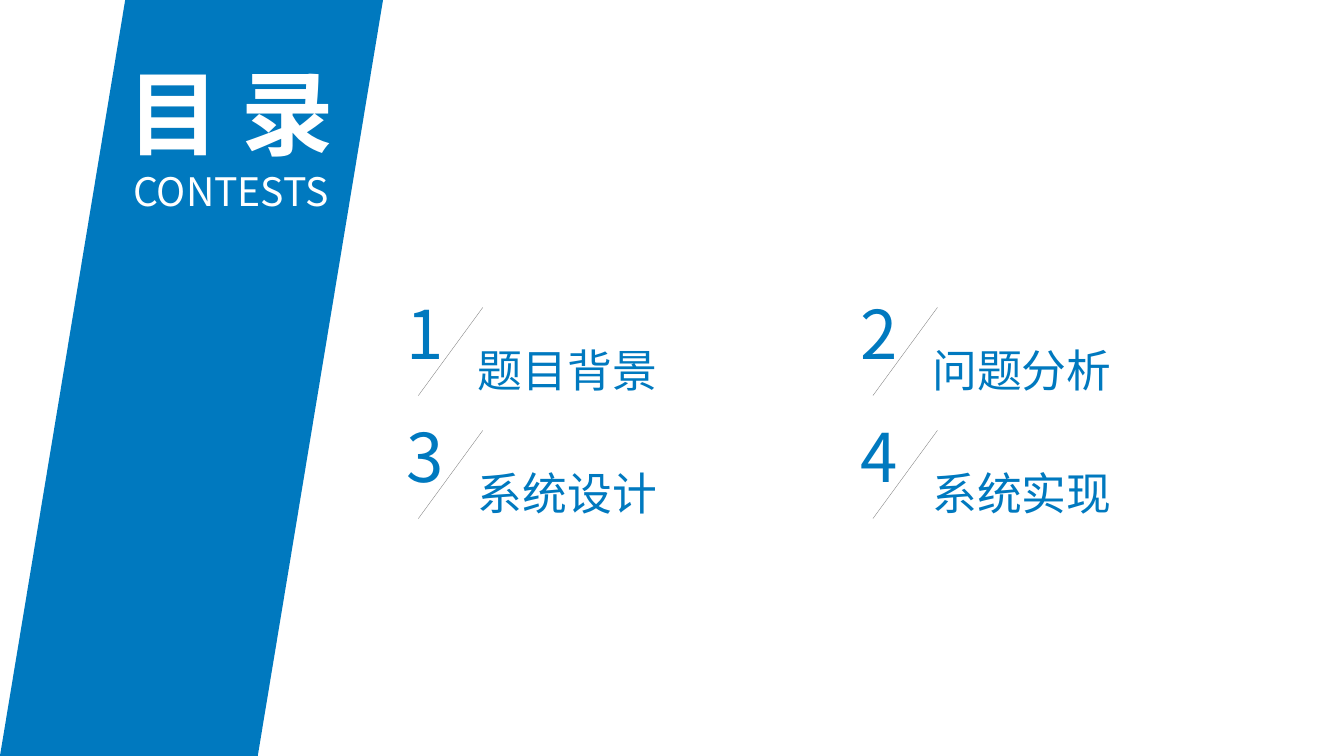
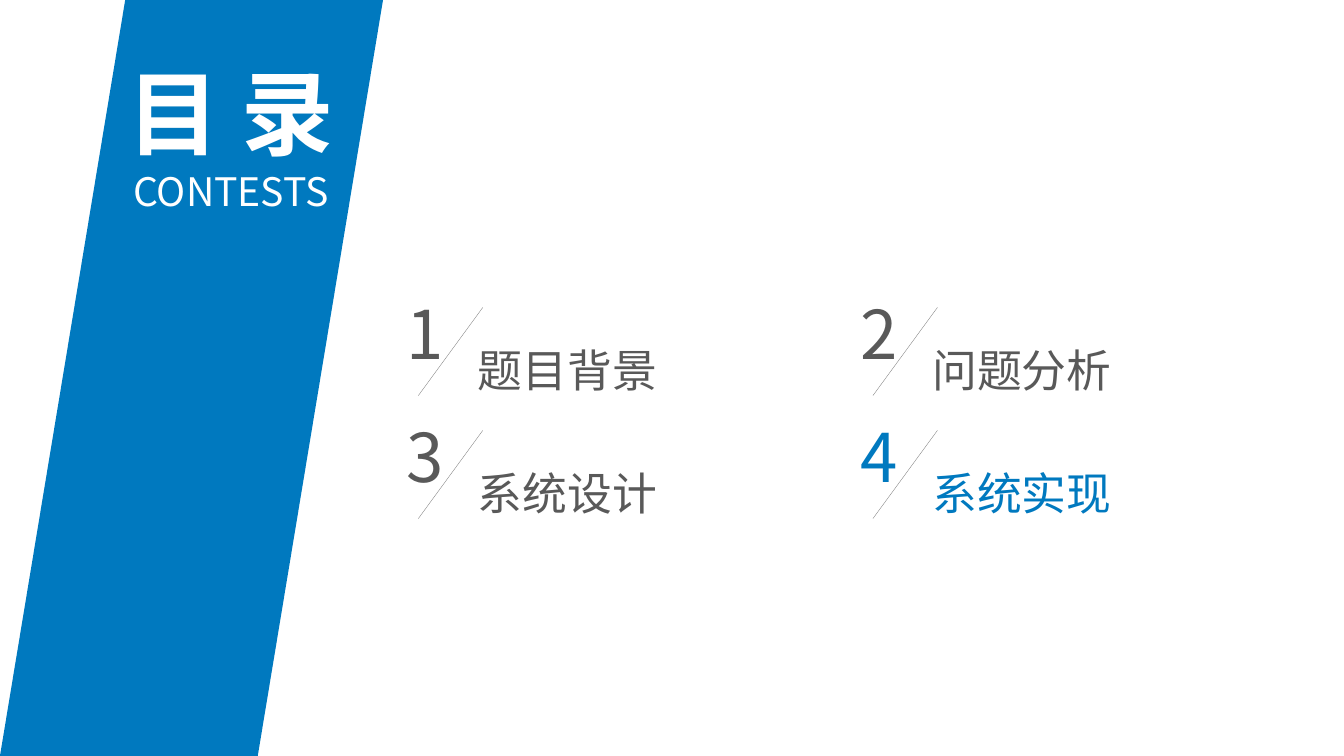
from lxml import etree
from pptx import Presentation
from pptx.dml.color import RGBColor
from pptx.enum.shapes import MSO_CONNECTOR, MSO_SHAPE
from pptx.enum.text import MSO_ANCHOR, MSO_AUTO_SIZE, PP_ALIGN
from pptx.oxml.ns import qn
from pptx.util import Inches, Pt

STRAIGHT = MSO_CONNECTOR.STRAIGHT
PARALLELOGRAM = MSO_SHAPE.PARALLELOGRAM
CENTER, LEFT = PP_ALIGN.CENTER, PP_ALIGN.LEFT
MIDDLE, TOP = MSO_ANCHOR.MIDDLE, MSO_ANCHOR.TOP
FIT_SHAPE, NO_FIT = MSO_AUTO_SIZE.SHAPE_TO_FIT_TEXT, MSO_AUTO_SIZE.NONE

FONT = "Noto Sans CJK SC"
BLUE, GRAY, WHITE, LINE_GRAY = "0079BF", "595959", "FFFFFF", "808080"

TOPICS = ["题目背景", "问题分析", "系统设计", "系统实现"]
TOPICS_PER_ROW = 2
FIRST_COLUMN, FIRST_ROW = 47.16, 34.2
COLUMN_STEP, ROW_STEP = 54.12, 14.64


def color(hex_string):
    return RGBColor.from_string(hex_string)


class AgendaDeck:
    """Agenda slides laid out on a grid of 160 columns by 90 rows."""

    COLUMNS, ROWS = 160, 90

    def __init__(self):
        self.presentation = Presentation()
        self.presentation.slide_width = Inches(13.33)
        self.presentation.slide_height = Inches(7.5)
        self.shapes = None

    def grid(self, *lengths):
        """Turn alternating column and row counts into slide lengths."""
        units = (self.presentation.slide_width / self.COLUMNS,
                 self.presentation.slide_height / self.ROWS)
        return [round(length * units[index % 2])
                for index, length in enumerate(lengths)]

    def new_slide(self):
        blank = self.presentation.slide_layouts[6]
        slide = self.presentation.slides.add_slide(blank)
        slide.background.fill.solid()
        slide.background.fill.fore_color.rgb = color(WHITE)
        self.shapes = slide.shapes

    def text(self, container, box, lines, ink, align=LEFT, **frame_format):
        """Add one paragraph for each (text, size, bold) line."""
        shape = container.add_textbox(*self.grid(*box))
        frame = shape.text_frame
        settings = {"word_wrap": True, "auto_size": FIT_SHAPE,
                    "vertical_anchor": TOP, **frame_format}
        for name, value in settings.items():
            setattr(frame, name, value)
        for index, (words, size, bold) in enumerate(lines):
            paragraph = frame.add_paragraph() if index else frame.paragraphs[0]
            paragraph.alignment = align
            run = paragraph.add_run()
            run.text = words
            font_format = {"name": FONT, "size": Pt(size), "bold": bold}
            for name, value in font_format.items():
                setattr(run.font, name, value)
            run.font.color.rgb = color(ink)
            east_asian = etree.Element(qn("a:ea"), typeface=FONT)
            run.font._element.find(qn("a:latin")).addnext(east_asian)

    def slash(self, container, ends):
        connector = container.add_connector(STRAIGHT, *self.grid(*ends))
        connector.line.color.rgb = color(LINE_GRAY)
        connector.line.width = Pt(0.25)
        etree.SubElement(connector._element.spPr, qn("a:effectLst"))

    def title_panel(self):
        panel = self.shapes.add_shape(PARALLELOGRAM, *self.grid(0, 0, 45.6, 90))
        panel.adjustments[0] = 0.327 * 100 / 100
        panel.shadow.inherit = False
        panel.fill.solid()
        panel.fill.fore_color.rgb = color(BLUE)
        panel.line.fill.background()
        self.text(self.shapes, (11.76, 7.56, 31.44, 17.16),
                  [("目 录", 66, True), ("CONTESTS", 28, False)], WHITE, CENTER,
                  vertical_anchor=MIDDLE, auto_size=NO_FIT)

    def topic(self, index, name, ink):
        row, column = divmod(index, TOPICS_PER_ROW)
        x = FIRST_COLUMN + column * COLUMN_STEP
        y = FIRST_ROW + row * ROW_STEP
        group = self.shapes.add_group_shape().shapes
        self.text(group, (x, y, 7.2, 10.92), [(str(index + 1), 48, False)],
                  ink, word_wrap=False)
        self.slash(group, (x + 10.32, y + 2.4, x + 2.64, y + 12.9))
        self.text(group, (x + 8.52, y + 6, 48, 7.68), [(name, 32, False)], ink)

    def agenda(self, highlighted):
        self.new_slide()
        self.title_panel()
        for index, name in enumerate(TOPICS):
            self.topic(index, name, BLUE if name in highlighted else GRAY)


def main():
    deck = AgendaDeck()
    deck.agenda(highlighted=TOPICS)
    deck.agenda(highlighted=TOPICS[-1:])
    deck.presentation.save("out.pptx")


if __name__ == "__main__":
    main()
